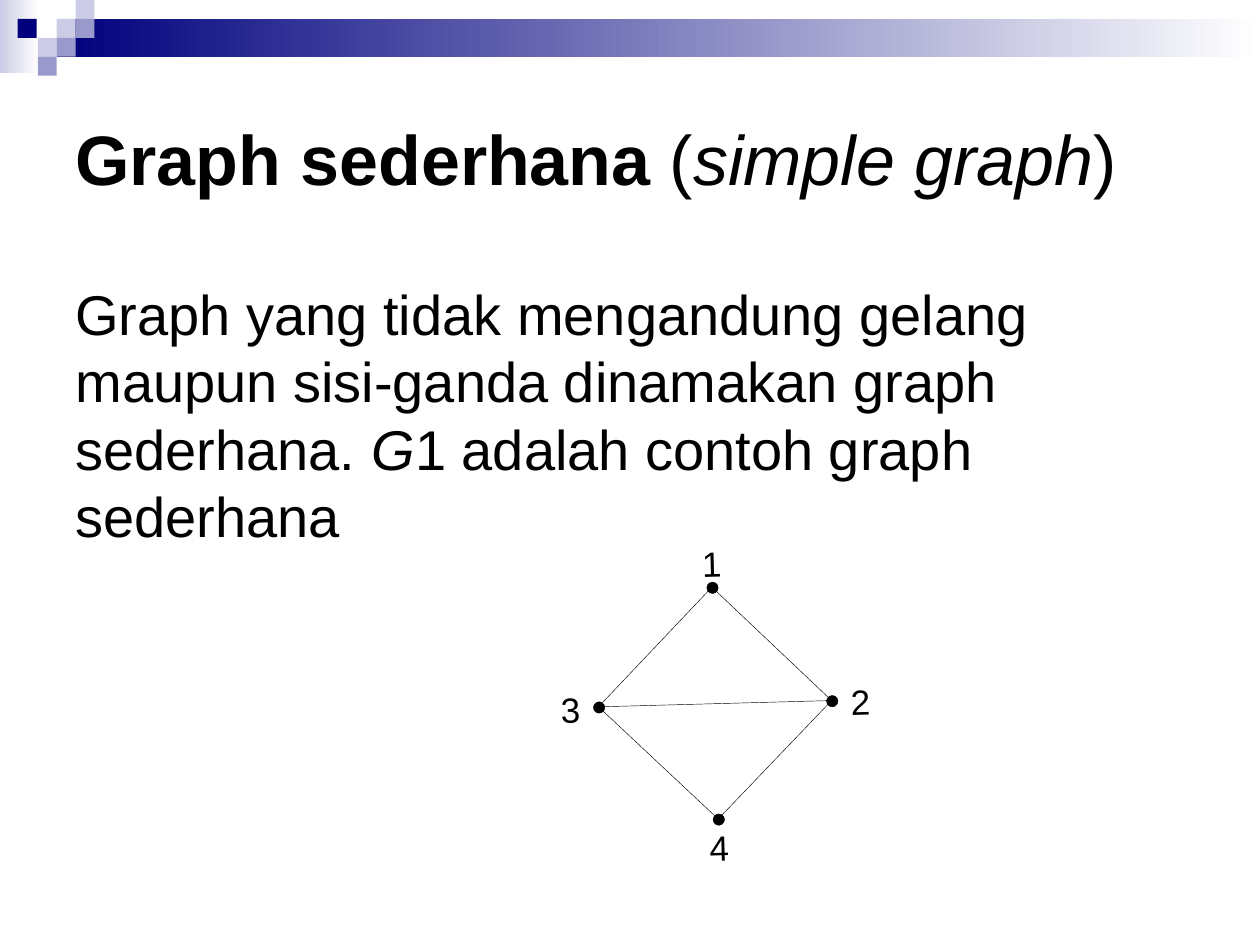
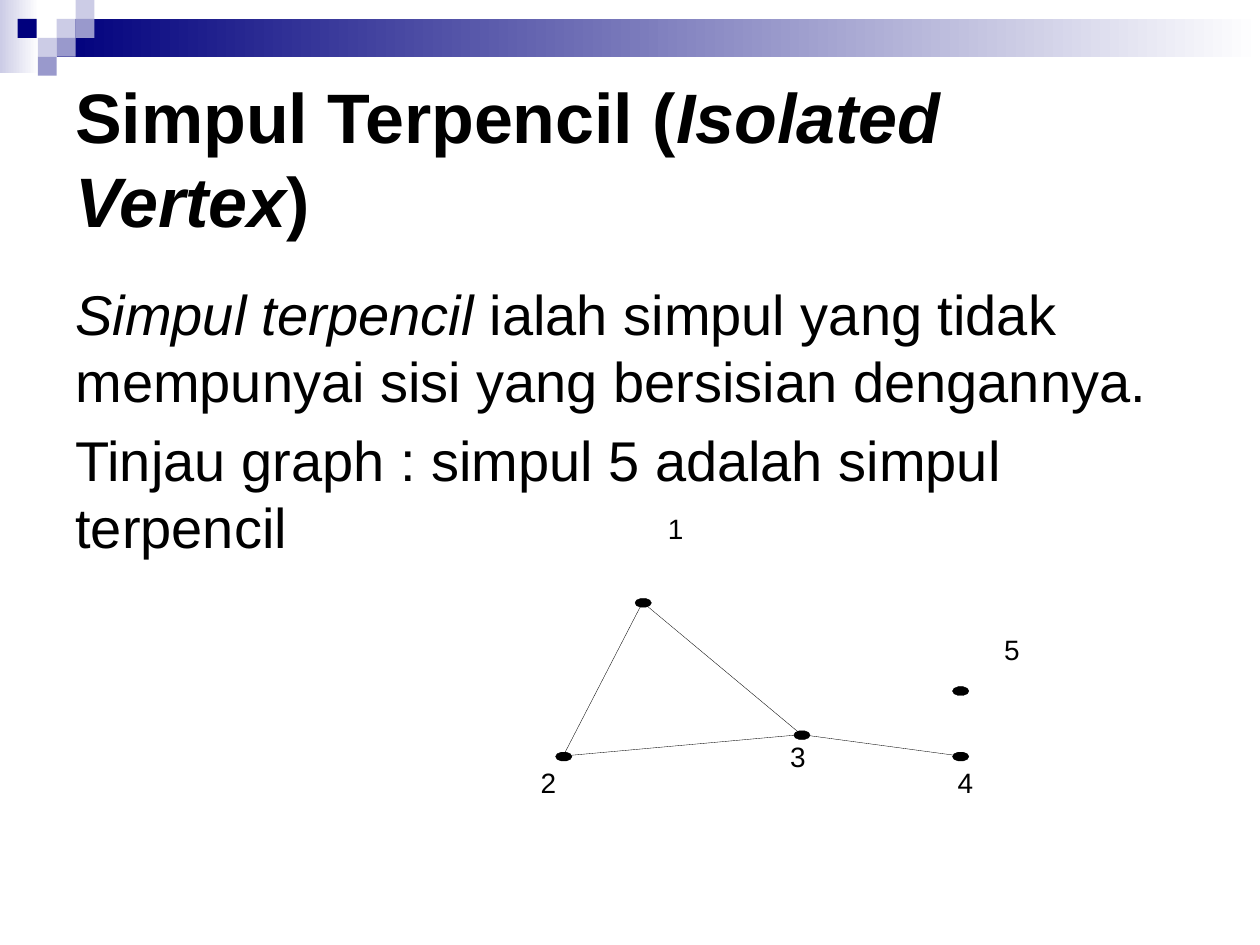
from lxml import etree
from pptx import Presentation, util as u
from pptx.dml.color import RGBColor
from pptx.enum import shapes, text
from pptx.oxml.ns import qn

SCALE = 9144  # EMU in one px, 100 px to the inch
BOX = shapes.MSO_SHAPE.RECTANGLE
OVAL = shapes.MSO_SHAPE.OVAL
TEN = shapes.MSO_SHAPE.DECAGON
INK, NAVY, MID, PALE, WHITE = "000000", "00007D", "9999CC", "CCCCE6", "FFFFFF"
CELL = 15
CELLS = [(45, 15, PALE), (60, 0, PALE), (60, 15, MID), (30, 30, PALE),
         (14, 15, NAVY), (45, 30, MID), (30, 45, MID)]
TITLE = {"size": u.Pt(40)}
BODY = {"size": u.Pt(32)}


def px(n):
    return u.Emu(n * SCALE)


def color(code):
    return RGBColor.from_string(code)


def assign(item, **values):
    for key, value in values.items():
        setattr(item, key, value)


class Deck:
    """Holds the presentation, its style and the current slide."""

    def __init__(self):
        self.prs = Presentation()
        assign(self.prs, slide_width=px(1000), slide_height=px(750))

    def page(self, title, body):
        self.slide = self.prs.slides.add_slide(self.prs.slide_layouts[6])
        self.fade(0, 0, 31, 58, PALE)
        self.fade(45, 15, 955, 30, NAVY)
        for x, y, tint in CELLS:
            self.shape(BOX, x, y, CELL, CELL, tint)
        self.words((50, 50, 900, 150), [title], TITLE,
                   vertical_anchor=text.MSO_ANCHOR.MIDDLE)
        self.words((50, 217, 900, 425), body, BODY, gap=6.4)

    def shape(self, kind, x, y, w, h, tint):
        item = self.slide.shapes.add_shape(kind, px(x), px(y), px(w), px(h))
        item.shadow.inherit = False
        item.fill.solid()
        item.fill.fore_color.rgb = color(tint)
        item.line.fill.background()
        return item

    def fade(self, x, y, w, h, tint):
        """Draw a box that fades to white from left to right."""
        fill = self.shape(BOX, x, y, w, h, tint).fill
        fill.gradient()
        fill.gradient_angle = 0
        for stop, code, place in zip(fill.gradient_stops, (tint, WHITE), (0, 1)):
            assign(stop, position=place)
            stop.color.rgb = color(code)

    def words(self, area, paras, style, gap=0, turn=0, **frame):
        """Write paragraphs of (text, marks) runs; marks hold b and i."""
        box = self.slide.shapes.add_textbox(*map(px, area))
        box.rotation = turn
        tf = box.text_frame
        assign(tf, **{"word_wrap": True, **frame})
        for n, runs in enumerate(paras):
            para = tf.add_paragraph() if n else tf.paragraphs[0]
            para.space_before = u.Pt(gap)
            for words, marks in runs:
                run = para.add_run()
                run.text = words
                assign(run.font, name="Arial", bold="b" in marks,
                       italic="i" in marks, **style)
                run.font.color.rgb = color(INK)

    def edge(self, start, end, width):
        line = self.slide.shapes.add_connector(
            shapes.MSO_CONNECTOR.STRAIGHT, *map(px, start + end))
        line.line.color.rgb = color(INK)
        line.line.width = u.Pt(width)
        etree.SubElement(line._element.spPr, qn("a:effectLst"))

    def graph(self, nodes, edges, kind, dot, width, label, size, turn=0):
        """Draw nodes {name: (centre, label corner)} and the edges by name."""
        w, h = dot
        for (x, y), _ in nodes.values():
            item = self.shape(kind, x - w // 2, y - h // 2, w, h, INK)
            item.line.color.rgb = color(INK)
            item.line.width = u.Pt(width)
        for a, b in edges:
            self.edge(nodes[a][0], nodes[b][0], width)
        bare = dict.fromkeys(
            ("margin_left", "margin_top", "margin_right", "margin_bottom"), 0)
        for name, (_, corner) in nodes.items():
            self.words(corner + label, [[(name, "")]], {"size": u.Pt(size)},
                       turn=turn, word_wrap=False, **bare)


def main():
    deck = Deck()

    deck.page(
        [("Graph sederhana", "b"), (" (", ""), ("simple graph", "i"), (")", "")],
        [[("Graph yang tidak mengandung gelang maupun sisi-ganda dinamakan "
           "graph sederhana. ", ""), ("G", "i"),
          ("1 adalah contoh graph sederhana", "")]])
    simple = {"1": ((565, 466), (557, 430)), "2": ((660, 556), (675, 540)),
              "3": ((475, 561), (445, 546)), "4": ((570, 650), (563, 656))}
    deck.graph(simple, ["12", "24", "13", "34", "23"], OVAL, (9, 9), 0.25,
               (14, 23), 20, turn=-1.6)

    deck.page(
        [("Simpul Terpencil (", "b"), ("Isolated Vertex", "bi"), (")", "b")],
        [[("Simpul terpencil ", "i"),
          ("ialah simpul yang tidak mempunyai sisi yang bersisian dengannya.", "")],
         [("Tinjau graph : simpul 5 adalah simpul terpencil", "")]])
    lonely = {"1": ((510, 478), (530, 406)), "2": ((447, 600), (429, 608)),
              "3": ((636, 583), (627, 587)), "4": ((762, 600), (760, 608)),
              "5": ((762, 548), (797, 502))}
    deck.graph(lonely, ["12", "34", "23", "13"], TEN, (13, 7), 0.2, (12, 27), 16)

    deck.prs.save("out.pptx")


if __name__ == "__main__":
    main()
